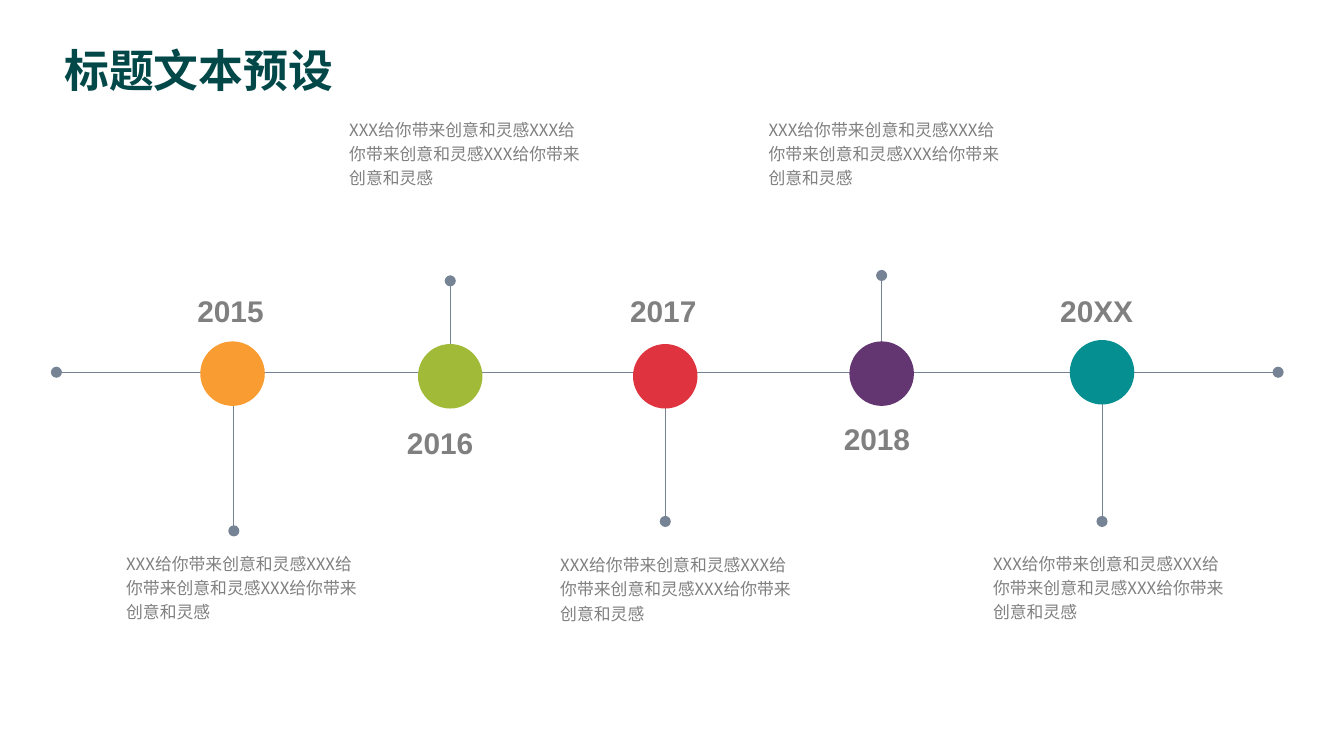
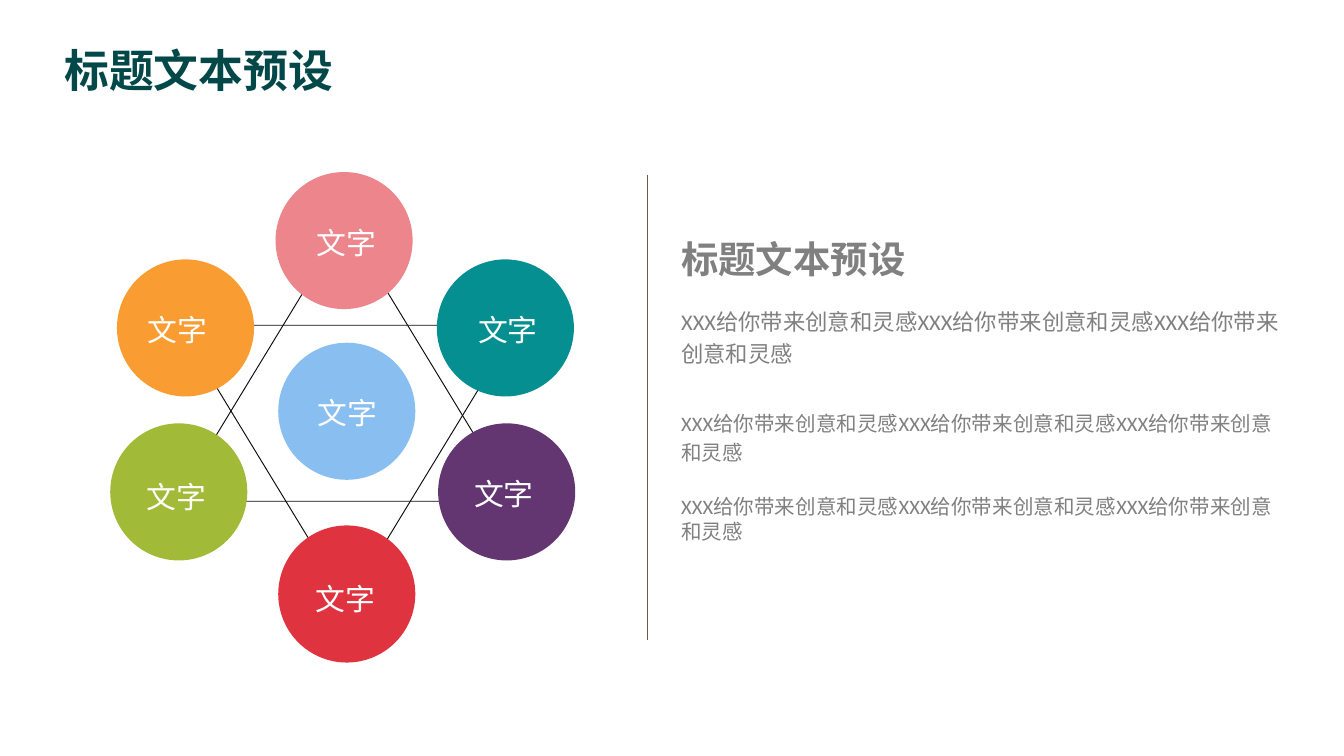
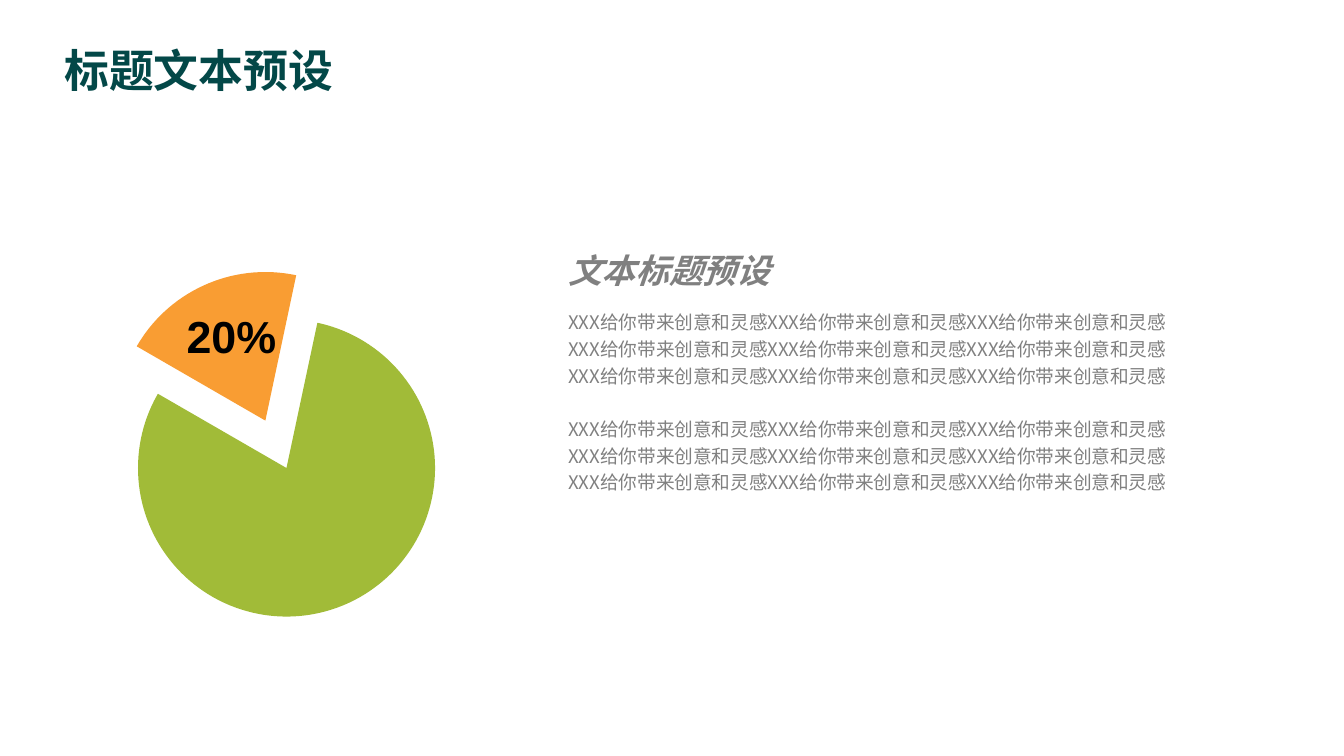
from lxml import etree
from pptx import Presentation
from pptx import util as u
from pptx.chart.data import CategoryChartData
from pptx.dml.color import RGBColor
from pptx.enum import chart as charts, shapes, text
from pptx.oxml.ns import qn

COLOURS = {
    "title": "034848", "grey": "808080", "slate": "768395", "brown": "735A45",
    "ink": "0D0D0D", "black": "000000", "white": "FFFFFF",
    "orange": "F99D33", "green": "A1BB38", "red": "DF3440", "purple": "633571",
    "teal": "068F90", "blue": "89BEF1", "pink": "EC858C",
}
CJK = "Noto Sans CJK SC"
TITLE = "标题文本预设"
PHRASE = "XXX给你带来创意和灵感"


def add_text(parent, place, lines, size, colour, face=CJK, wrap=True, spacing=None, gap=0, **style):
    """Add a text box with one paragraph per line, with gap points between paragraphs."""
    box = parent.add_textbox(*map(u.Inches, place))
    frame = box.text_frame
    frame.word_wrap = wrap
    frame.auto_size = text.MSO_AUTO_SIZE.SHAPE_TO_FIT_TEXT
    for number, line in enumerate(lines):
        para = frame.paragraphs[0] if number == 0 else frame.add_paragraph()
        if spacing:
            para.line_spacing = spacing
        if number:
            para.space_before = u.Pt(gap)
        span = para.add_run()
        span.text = line
        for name, value in {"size": u.Pt(size), "name": face, **style}.items():
            setattr(span.font, name, value)
        span.font.color.rgb = RGBColor.from_string(COLOURS[colour])
        etree.SubElement(span.font._element, qn("a:ea"), typeface=CJK)
    return frame


def add_line(parent, start, end, colour, width, dotted_ends=True):
    line = parent.add_connector(shapes.MSO_CONNECTOR.STRAIGHT, *map(u.Inches, (*start, *end)))
    line.line.color.rgb = RGBColor.from_string(COLOURS[colour])
    line.line.width = u.Pt(width)
    if dotted_ends:
        for tag in ("a:headEnd", "a:tailEnd"):
            etree.SubElement(line.line._get_or_add_ln(), qn(tag), type="oval")
    etree.SubElement(line._element.spPr, qn("a:effectLst"))


deck = Presentation()
deck.slide_width = u.Inches(10)
deck.slide_height = deck.slide_width * 9 // 16
pages = [deck.slides.add_slide(deck.slide_layouts[6]) for _ in range(3)]
for page in pages:
    add_text(page.shapes, (0.38, 0.27, 2.22, 0.5), [TITLE], 24, "title", wrap=False, bold=True)
timeline, hexagram, share = pages
circles = []

# Timeline: year, colour, circle corner, stem (x, top, bottom), year corner, note corner
EVENTS = [
    ("2015", "orange", (1.49, 2.54), (1.74, 2.95, 3.95), (1.37, 2.13), (0.84, 4.04)),
    ("2016", "green", (3.11, 2.56), (3.35, 2.09, 2.99), (2.93, 3.11), (2.5, 0.81)),
    ("2017", "red", (4.71, 2.56), (4.95, 2.95, 3.88), (4.59, 2.13), (4.07, 4.05)),
    ("2018", "purple", (6.32, 2.54), (6.56, 2.05, 2.95), (6.18, 3.08), (5.62, 0.81)),
    ("20XX", "teal", (7.96, 2.53), (8.2, 2.95, 3.88), (7.79, 2.13), (7.29, 4.04)),
]
for year, colour, corner, (x, top, bottom), year_at, note_at in EVENTS:
    add_line(timeline.shapes, (x, top), (x, bottom), "slate", 0.5)
    add_text(timeline.shapes, (*note_at, 1.92, 0.65), [PHRASE * 3], 9, "grey", spacing=1.2)
    year_width = 0.75 if year == "20XX" else 0.7
    add_text(timeline.shapes, (*year_at, year_width, 0.37), [year], 16, "grey", "Arial",
             wrap=False, bold=True)
    circles.append((timeline.shapes, corner, 0.48, colour))
add_line(timeline.shapes, (0.42, 2.77), (9.51, 2.77), "slate", 0.5)

# Hexagram: two triangles, then circle colour, circle corner, label corner
star = hexagram.shapes.add_group_shape().shapes
for x, y, turn in [(1.33, 2.42, 180), (1.31, 1.66, 0)]:
    triangle = star.add_shape(shapes.MSO_SHAPE.FLOWCHART_EXTRACT,
                              *map(u.Inches, (x, y, 2.52, 2.07)))
    triangle.rotation = turn
    triangle.shadow.inherit = False
    triangle.fill.background()
    triangle.line.color.rgb = RGBColor.from_string(COLOURS["ink"])
    triangle.line.width = u.Pt(0.5)

NODES = [
    ("blue", (2.07, 2.55), (2.26, 2.89)),
    ("teal", (3.25, 1.93), (3.46, 2.27)),
    ("purple", (3.26, 3.15), (3.43, 3.49)),
    ("red", (2.07, 3.91), (2.25, 4.27)),
    ("green", (0.82, 3.15), (0.99, 3.51)),
    ("orange", (0.87, 1.93), (1, 2.27)),
    ("pink", (2.05, 1.28), (2.26, 1.62)),
]
circles += [(star, corner, 1.02, colour) for colour, corner, _ in NODES]
for parent, corner, size, colour in circles:
    circle = parent.add_shape(shapes.MSO_SHAPE.OVAL, *map(u.Inches, (*corner, size, size)))
    circle.shadow.inherit = False
    circle.fill.solid()
    circle.fill.fore_color.rgb = RGBColor.from_string(COLOURS[colour])
    circle.line.fill.background()
for colour, _, label_at in NODES:
    label = add_text(star, (*label_at, 0.65, 0.37), ["文字"], 16, "white", wrap=False)
    if colour == "blue":
        label.paragraphs[0].alignment = text.PP_ALIGN.CENTER

aside = hexagram.shapes.add_group_shape().shapes
details = add_text(aside, (4.97, 2.97, 4.71, 1.51), [PHRASE * 3] * 2, 11, "grey", "Calibri",
                   spacing=1.2, gap=15.5)
details.paragraphs[1].line_spacing = 1.0
add_text(aside, (4.97, 1.71, 1.88, 0.44), [TITLE], 20, "grey", wrap=False, bold=True)
add_text(aside, (4.97, 2.2, 4.71, 0.59), [PHRASE * 3], 12, "grey", "Calibri", spacing=1.2)
add_line(aside, (4.82, 1.3), (4.82, 4.76), "brown", 0.75, dotted_ends=False)

# Share: pie with one slice pulled away
add_text(share.shapes, (4.13, 1.81, 1.73, 0.4), ["文本标题预设"], 18, "grey",
         wrap=False, bold=True, italic=True)
add_text(share.shapes, (4.13, 2.23, 4.68, 2.52), [PHRASE * 9] * 2, 10, "grey",
         spacing=1.2, gap=14)

data = CategoryChartData()
data.categories = ["1", "2", "3", "4"]
data.add_series("Series 1", (20, 80, None, None))
pie = share.shapes.add_chart(charts.XL_CHART_TYPE.PIE,
                             *map(u.Inches, (-0.59, 1.5, 5.13, 3.26)), data).chart
pie.has_legend = pie.has_title = False
pie.font.size, pie.font.name = u.Pt(18), "Arial"
pie.font.color.rgb = RGBColor.from_string(COLOURS["black"])
plot = pie.plots[0]
plot.vary_by_categories = True
angle = plot._element.find(qn("c:firstSliceAng"))
if angle is None:
    angle = etree.SubElement(plot._element, qn("c:firstSliceAng"))
angle.set("val", "300")
series = plot.series[0]
for number, colour in enumerate(["orange", "green", "red", "purple"]):
    fill = series.points[number].format.fill
    fill.solid()
    fill.fore_color.rgb = RGBColor.from_string(COLOURS[colour])
slices = series._element.findall(qn("c:dPt"))
for piece, offset in [(slices[0], 0), (slices[1], 35)]:
    explosion = etree.Element(qn("c:explosion"), val=str(offset))
    piece.find(qn("c:spPr")).addprevious(explosion)
slices[0].addprevious(etree.Element(qn("c:explosion"), val="22"))
add_text(share.shapes, (1.29, 2.25, 0.88, 0.5), ["20%"], 24, "black", "Arial",
         wrap=False, bold=True)

deck.save("out.pptx")
